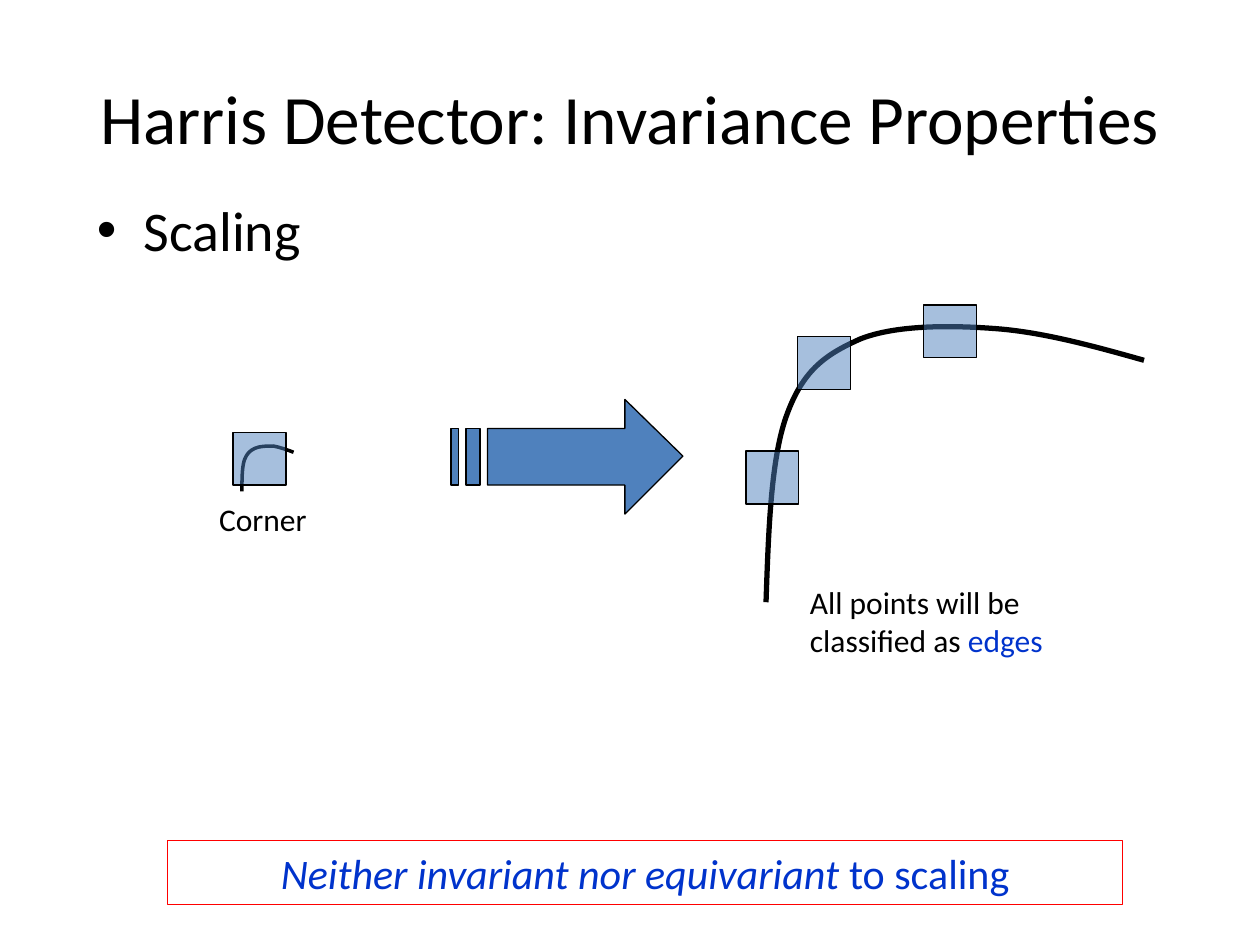
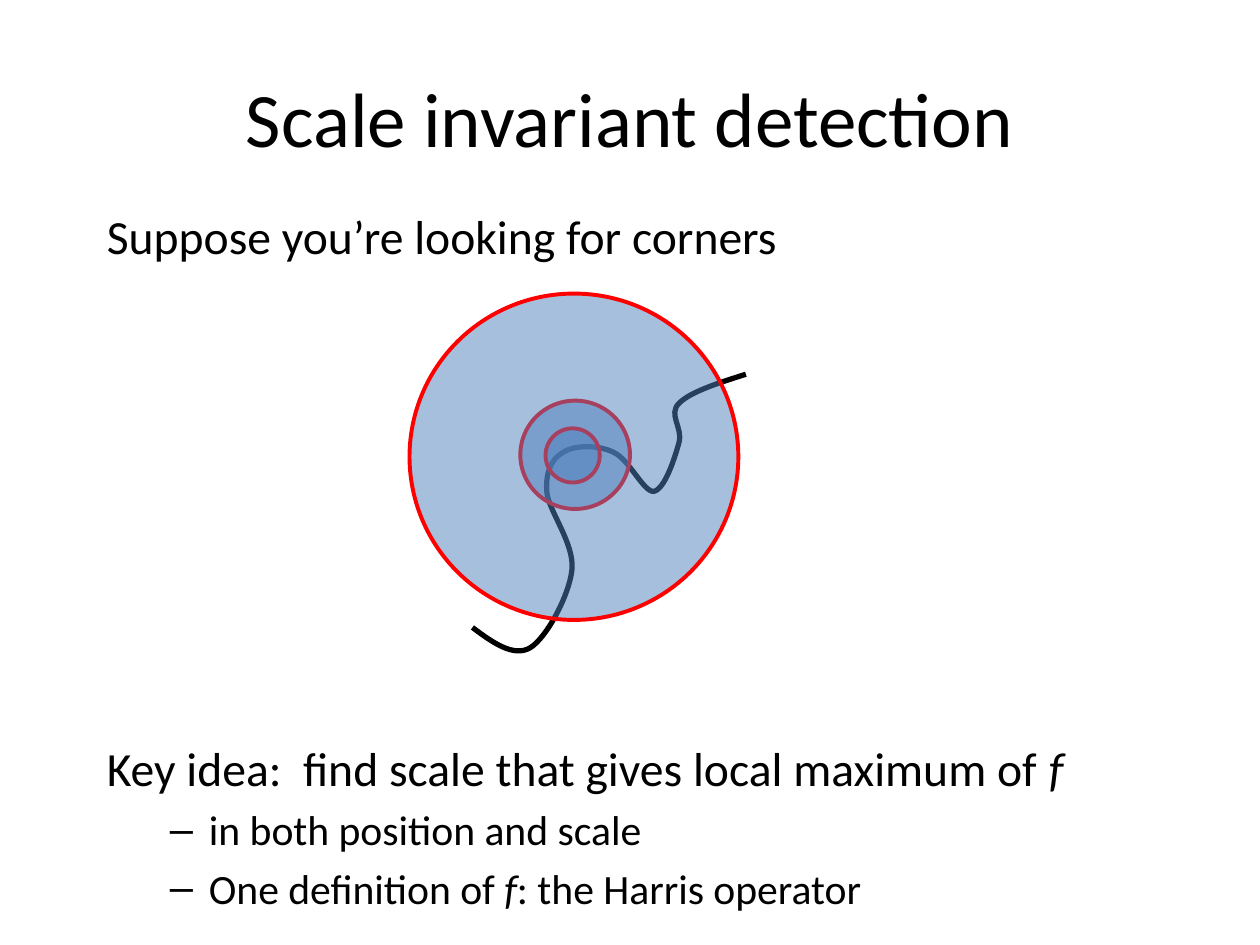
from lxml import etree
from pptx import Presentation
from pptx.dml.color import RGBColor
from pptx.enum import shapes as kinds, text as txt
from pptx.oxml import ns
from pptx.util import Inches, Pt

BLACK = RGBColor(0x00, 0x00, 0x00)
STEEL = RGBColor(0x4F, 0x81, 0xBD)
RED = RGBColor(0xFF, 0x00, 0x00)
BLUE = RGBColor(0x00, 0x33, 0xCC)
FONT = "Calibri"
RECT = kinds.MSO_SHAPE.RECTANGLE
OVAL = kinds.MSO_SHAPE.OVAL

# Bezier curves: a start point, then three points for each segment.
EDGE = [(6.08, 4.78), (6.1, 4.2), (6.12, 3.62), (6.25, 3.28),
        (6.38, 2.93), (6.56, 2.81), (6.83, 2.69),
        (7.11, 2.58), (7.54, 2.58), (7.92, 2.61),
        (8.29, 2.64), (8.69, 2.75), (9.08, 2.86)]
CORNER = [(1.92, 3.9), (1.92, 3.81), (1.92, 3.71), (1.94, 3.65),
          (1.96, 3.6), (1.98, 3.58), (2.02, 3.56),
          (2.06, 3.54), (2.12, 3.54), (2.17, 3.54),
          (2.22, 3.55), (2.28, 3.57), (2.33, 3.59)]
WAVE = [(3.75, 4.98), (3.91, 5.1), (4.08, 5.22), (4.21, 5.14),
        (4.34, 5.06), (4.52, 4.72), (4.54, 4.52),
        (4.56, 4.31), (4.35, 4.05), (4.34, 3.9),
        (4.33, 3.74), (4.38, 3.64), (4.47, 3.59),
        (4.56, 3.53), (4.75, 3.53), (4.87, 3.59),
        (4.99, 3.64), (5.11, 3.91), (5.19, 3.9),
        (5.28, 3.88), (5.36, 3.62), (5.39, 3.51),
        (5.42, 3.39), (5.3, 3.29), (5.39, 3.2),
        (5.48, 3.11), (5.7, 3.04), (5.92, 2.97)]


def style(shape, fill=None, line=BLACK, width=0.75, alpha=None):
    """Set fill, its opacity in percent, and outline."""
    shape.shadow.inherit = False
    if fill is None:
        shape.fill.background()
    else:
        shape.fill.solid()
        shape.fill.fore_color.rgb = fill
    if alpha is not None:
        color = shape.fill._xPr.find(".//" + ns.qn("a:srgbClr"))
        etree.SubElement(color, ns.qn("a:alpha"), val=str(alpha * 1000))
    shape.line.color.rgb = line
    shape.line.width = Pt(width)


def add_runs(para, parts, size, color=BLACK):
    """Fill a paragraph with (text, italic, colour) parts; plain strings work too."""
    for part in parts:
        if isinstance(part, str):
            part = (part, False, color)
        run = para.add_run()
        run.text, run.font.italic, run.font.color.rgb = part
        run.font.name = FONT
        run.font.size = Pt(size)


def add_text(slide, box, parts, size, align=txt.PP_ALIGN.LEFT,
             anchor=txt.MSO_ANCHOR.TOP):
    frame = slide.shapes.add_textbox(*map(Inches, box)).text_frame
    frame.word_wrap = True
    frame.vertical_anchor = anchor
    para = frame.paragraphs[0]
    para.alignment = align
    add_runs(para, parts, size)
    return frame


def add_para(frame, parts, size, space):
    para = frame.add_paragraph()
    para.space_before = Pt(space)
    add_runs(para, parts, size)
    return para


def set_bullet(para, mark, left, hang):
    props = para._p.get_or_add_pPr()
    props.set("marL", str(Inches(left)))
    props.set("indent", str(-Inches(hang)))
    etree.SubElement(props, ns.qn("a:buFont"), typeface="Arial")
    etree.SubElement(props, ns.qn("a:buChar"), char=mark)


def add_title(slide, title, size):
    add_text(slide, (0.5, 0.3, 9, 1.25), [title], size,
             txt.PP_ALIGN.CENTER, txt.MSO_ANCHOR.MIDDLE)


def add_shape(slide, kind, box, **look):
    shape = slide.shapes.add_shape(kind, *map(Inches, box))
    style(shape, **look)
    return shape


def add_window(slide, left, top):
    add_shape(slide, RECT, (left, top, 0.42, 0.42), fill=STEEL, alpha=50)


def add_path(slide, outlines, close, **look):
    """Draw one freeform made of one or more outlines."""
    outlines = [[(Inches(x), Inches(y)) for x, y in line] for line in outlines]
    pen = slide.shapes.build_freeform(*outlines[0][0])
    for i, line in enumerate(outlines):
        if i:
            pen.move_to(*line[0])
        pen.add_line_segments(line[1:], close=close)
    shape = pen.convert_to_shape()
    style(shape, **look)
    return shape


def add_curve(slide, knots, width):
    """Draw a freeform, then turn each three line points into one Bezier segment."""
    shape = add_path(slide, [knots], False, width=width)
    lines = list(shape._element.iter(ns.qn("a:lnTo")))
    for i in range(0, len(lines), 3):
        bend = etree.Element(ns.qn("a:cubicBezTo"))
        lines[i].addprevious(bend)
        for line in lines[i:i + 3]:
            bend.append(line[0])
            line.getparent().remove(line)


def add_arrow(slide):
    """Block arrow with two stripes at its tail."""
    top, low = 3.4, 3.85
    head = [(4.96, 3.17), (4.96, top), (3.87, top), (3.87, low),
            (4.96, low), (4.96, 4.08), (5.42, 3.62)]
    bars = [[(a, top), (a, low), (b, low), (b, top)]
            for a, b in ((3.7, 3.81), (3.58, 3.64))]
    add_path(slide, [head, *bars], True, fill=STEEL)


def add_ring(slide, box):
    add_shape(slide, OVAL, box, fill=STEEL, alpha=50)
    add_shape(slide, OVAL, box, line=RED, width=2.25)


def build_scaling(slide):
    add_title(slide, "Harris Detector: Invariance Properties", 39.6)
    body = add_text(slide, (0.67, 1.5, 8.5, 4.5), ["Scaling"], 32)
    set_bullet(body.paragraphs[0], "•", 0.37, 0.37)
    add_text(slide, (6.33, 4.58, 2.83, 1.5),
             ["All points will be classified as ", ("edges", False, BLUE)], 18)
    add_curve(slide, CORNER, 2)
    add_window(slide, 1.85, 3.43)
    add_text(slide, (1.64, 3.92, 1.75, 0.57), ["Corner"], 18)

    note = add_shape(slide, RECT, (1.33, 6.67, 7.58, 0.51), line=RED)
    para = note.text_frame.paragraphs[0]
    para.alignment = txt.PP_ALIGN.CENTER
    add_runs(para, [("Neither invariant nor equivariant ", True, BLUE),
                    "to scaling"], 24, BLUE)

    add_curve(slide, EDGE, 3)
    add_arrow(slide)
    for left, top in ((7.33, 2.42), (6.33, 2.67), (5.92, 3.58)):
        add_window(slide, left, top)


def build_scale(slide):
    add_curve(slide, WAVE, 3)
    add_title(slide, "Scale invariant detection", 44)
    for box in ((4.13, 3.18, 0.87, 0.86), (4.33, 3.4, 0.43, 0.43),
                (3.25, 2.33, 2.61, 2.59)):
        add_ring(slide, box)
    italic = ("f", True, BLACK)
    body = add_text(slide, (0.75, 1.59, 8.5, 5.5),
                    ["Suppose you’re looking for corners"], 27.2)
    add_para(body, ["Key idea:  find scale that gives local maximum of ", italic],
             27.2, 271.4)
    for parts in (["in both position and scale"],
                  ["One definition of ", italic, ": the Harris operator"]):
        set_bullet(add_para(body, parts, 23.8, 4.8), "–", 0.81, 0.31)


def main():
    deck = Presentation()
    deck.slide_width, deck.slide_height = Inches(10), Inches(7.5)
    for build in (build_scaling, build_scale):
        build(deck.slides.add_slide(deck.slide_layouts[6]))
    deck.save("out.pptx")


if __name__ == "__main__":
    main()
